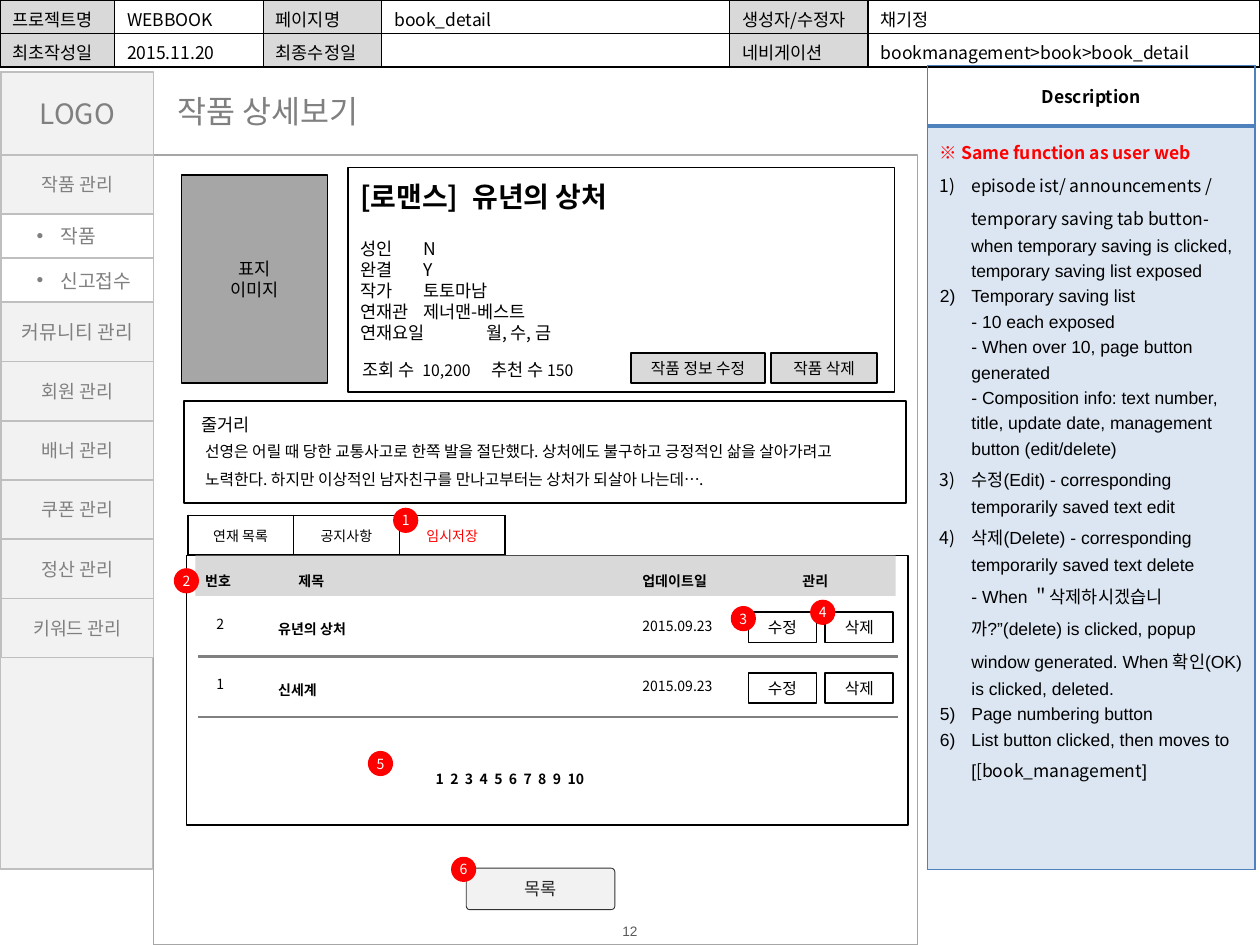
"""Build the book detail wireframe slide."""
from lxml import etree
from pptx import Presentation
from pptx.dml import color as dc
from pptx.enum import shapes as es, text as et
from pptx.oxml import ns
from pptx.util import Inches, Pt

NOTO = "Noto Sans CJK KR"
LEFT, MID = et.PP_ALIGN.LEFT, et.PP_ALIGN.CENTER
KIND = es.MSO_SHAPE


def rgb(code):
    return dc.RGBColor.from_string(code)


def sub(node, tag, **attrs):
    return etree.SubElement(node, ns.qn(tag), **attrs)


class Page:
    """Hold the style and the current slide."""

    def __init__(self, deck):
        self.slide = deck.slides.add_slide(deck.slide_layouts[5])
        self.shapes = self.slide.shapes

    def font(self, font, size, color="000000", bold=False, face=NOTO):
        font.size, font.bold, font.name = Pt(size), bold, face
        font.fill.solid()
        font.fill.fore_color.rgb = rgb(color)
        sub(font._element, "a:ea", typeface=NOTO)

    def para(self, para, words, size, align=LEFT, space=None, bullet=None, indent=0.25, **look):
        if bullet:
            props = para._p.get_or_add_pPr()
            props.set("marL", str(Inches(indent)))
            props.set("indent", str(-Inches(indent)))
            if bullet == "1)":
                sub(props, "a:buAutoNum", type="arabicParenR")
            else:
                sub(props, "a:buFont", typeface="Arial")
                sub(props, "a:buChar", char=bullet)
        para.alignment = align
        if space:
            para.line_spacing = space
        if isinstance(words, str):
            para.text = words
            self.font(para.font, size, **look)
            return
        for part, face in words:
            run = para.add_run()
            run.text = part
            self.font(run.font, size, face=face, **look)

    def fill(self, frame, words, size, inset=(0.1, 0.05, 0.1, 0.05),
             anchor=et.MSO_ANCHOR.MIDDLE, wrap=True, **look):
        frame.auto_size = et.MSO_AUTO_SIZE.NONE
        frame.word_wrap, frame.vertical_anchor = wrap, anchor
        (frame.margin_left, frame.margin_top,
         frame.margin_right, frame.margin_bottom) = map(Inches, inset)
        for i, line in enumerate([words] if isinstance(words, str) else words):
            para = frame.add_paragraph() if i else frame.paragraphs[0]
            self.para(para, line, size, **look)

    def title(self, x, y, w, h, words, size, **look):
        hold = self.shapes.title
        hold.left, hold.top, hold.width, hold.height = map(Inches, (x, y, w, h))
        self.fill(hold.text_frame, words, size, anchor=et.MSO_ANCHOR.TOP, wrap=False, **look)

    def text(self, x, y, w, h, words, size, anchor=et.MSO_ANCHOR.TOP, **look):
        box = self.shapes.add_textbox(*map(Inches, (x, y, w, h)))
        self.fill(box.text_frame, words, size, anchor=anchor, **look)

    def box(self, x, y, w, h, words="", size=9, back=None, edge="000000",
            width=1, kind=KIND.RECTANGLE, align=MID, **look):
        shape = self.shapes.add_shape(kind, *map(Inches, (x, y, w, h)))
        shape.shadow.inherit = False
        if back:
            shape.fill.solid()
            shape.fill.fore_color.rgb = rgb(back)
        else:
            shape.fill.background()
        if edge:
            shape.line.color.rgb, shape.line.width = rgb(edge), Pt(width)
        else:
            shape.line.fill.background()
        if words:
            self.fill(shape.text_frame, words, size, align=align, **look)
        return shape

    def badge(self, x, y, num):
        self.box(x, y, 0.2, 0.2, num, 8, "FF0000", None, kind=KIND.OVAL,
                 color="FFFFFF", inset=(0, 0, 0, 0))

    def rule(self, x, y, end, color, width):
        line = self.shapes.add_connector(
            es.MSO_CONNECTOR.STRAIGHT, *map(Inches, (x, y, end, y)))
        line.line.color.rgb, line.line.width = rgb(color), Pt(width)
        sub(line._element.spPr, "a:effectLst")

    def table(self, x, y, cols, rows):
        frame = self.shapes.add_table(len(rows), len(cols), *map(
            Inches, (x, y, sum(cols), sum(rows))))
        grid = frame.table
        grid.first_row = grid.horz_banding = False
        for col, w in zip(grid.columns, cols):
            col.width = Inches(w)
        for row, h in zip(grid.rows, rows):
            row.height = Inches(h)
        return grid

    def cell(self, cell, back=None, edge="000000", base=1, inset=(0.1, 0.05, 0.1, 0.05)):
        (cell.margin_left, cell.margin_top,
         cell.margin_right, cell.margin_bottom) = map(Inches, inset)
        props = cell._tc.get_or_add_tcPr()
        for side, width in zip("LRTB", (1, 1, 1, base)):
            line = sub(props, "a:ln" + side, w=str(Pt(width)))
            sub(sub(line, "a:solidFill"), "a:srgbClr", val=edge)
        if back:
            cell.fill.solid()
            cell.fill.fore_color.rgb = rgb(back)
        else:
            cell.fill.background()


def header(page):
    rows = (("프로젝트명", "WEBBOOK", "페이지명", "book_detail", "생성자/수정자", "채기정"),
            ("최초작성일", "2015.11.20", "최종수정일", "", "네비게이션",
             "bookmanagement>book>book_detail"))
    grid = page.table(0, 0, (0.91, 1.18, 0.94, 2.76, 1.1, 3.11), (0.265, 0.265))
    for r, row in enumerate(rows):
        for c, words in enumerate(row):
            cell = grid.cell(r, c)
            page.cell(cell, None if c % 2 else "D9D9D9", inset=(0.1, 0.05, 0.05, 0))
            page.para(cell.text_frame.paragraphs[0], words, 10)


def notes(page):
    items = (
        (("episode ist/ announcements / temporary saving tab button", NOTO),
         ("- when temporary saving is clicked, temporary saving list exposed", "Arial")),
        "Temporary saving list \n- 10 each exposed \n- When over 10, page button generated \n"
        "- Composition info: text number, title, update date, management button (edit/delete)",
        "수정(Edit) - corresponding temporarily saved text edit",
        "삭제(Delete) - corresponding temporarily saved text delete \n"
        "- When ＂삭제하시겠습니까?”(delete) is clicked, popup window generated. "
        "When 확인(OK) is clicked, deleted.",
        "Page numbering button",
        (("List button clicked, then moves to [", "Arial"), ("[book_management", NOTO),
         ("]", "Arial")))
    grid = page.table(7.36, 0.52, (2.6,), (0.48, 5.9))
    head, body = grid.cell(0, 0), grid.cell(1, 0)
    page.cell(head, edge="4F81BD", base=2)
    page.cell(body, "DCE6F2", "4F81BD")
    head.vertical_anchor = et.MSO_ANCHOR.MIDDLE
    page.para(head.text_frame.paragraphs[0], "Description", 10, MID, bold=True)
    page.para(body.text_frame.paragraphs[0], "※ Same function as user web", 10,
              space=1.3, color="FF0000", bold=True)
    for item in items:
        look = {"face": "Arial"} if isinstance(item, str) else {}
        page.para(body.text_frame.add_paragraph(), item, 10, space=1.3, bullet="1)", **look)


def menu(page):
    grey = {"edge": "BFBFBF", "color": "808080"}
    page.box(0, 0.57, 1.21, 6.33, back="F2F2F2", edge="BFBFBF")
    page.box(0.01, 0.57, 1.21, 0.66, "LOGO", 16, "F2F2F2", **grey)
    y = 1.23
    for name in ("작품 관리", "작품", "신고접수", "커뮤니티 관리", "회원 관리", "배너 관리",
                 "쿠폰 관리", "정산 관리", "키워드 관리"):
        if name.endswith("관리"):
            size = 11 if name.startswith("커뮤") else 10.5
            page.box(0.01, y, 1.21, 0.47, name, size, "F2F2F2", **grey)
            y += 0.47
        else:
            page.box(0.01, y, 1.21, 0.35, name, 11, "FFFFFF", align=LEFT, bullet="•",
                     indent=0.19, inset=(0.28, 0.05, 0.1, 0.05), **grey)
            y += 0.35


def detail(page):
    page.box(1.22, 1.23, 6.06, 6.27, edge="A6A6A6", width=0.75)
    page.box(1.44, 1.39, 1.16, 1.65, "표지\n이미지", 10, "A6A6A6")
    facts = ("성인\tN", "완결\tY", "작가 \t토토마남", "연재관\t제너맨-베스트", "연재요일 \t월, 수, 금")
    page.box(2.76, 1.33, 4.34, 1.78, facts, 10, align=LEFT, inset=(0.1, 0.22, 0.1, 0.05))
    for x, words in ((2.78, "[로맨스]"), (3.67, "유년의 상처")):
        page.text(x, 1.44, 2.14, 0.23, words, 16, et.MSO_ANCHOR.MIDDLE, bold=True,
                  inset=(0.08, 0.04, 0.08, 0.04))
    for x, w, name, count in ((2.78, 1.14, "조회 수  ", "10,200"), (3.8, 0.9, "추천 수 ", "150")):
        page.text(x, 2.72, w, 0.32, [[(name, NOTO), (count, NOTO)]], 10, space=1.5, wrap=False)
        page.shapes[-1].text_frame.paragraphs[0].runs[1].font.size = Pt(9)
    for x, w, words in ((5.01, 1.06, "작품 정보 수정"), (6.12, 0.84, "작품 삭제")):
        page.box(x, 2.8, w, 0.24, words, back="D9D9D9")
    page.box(1.46, 3.18, 5.73, 0.81)
    page.text(1.5, 3.15, 0.6, 0.32, "줄거리", 10, space=1.5, wrap=False)
    page.text(1.53, 3.38, 5.31, 0.53, "선영은 어릴 때 당한 교통사고로 한쪽 발을 절단했다. 상처에도 불구하고 "
              "긍정적인 삶을 살아가려고 노력한다. 하지만 이상적인 남자친구를 만나고부터는 상처가 되살아 나는데….",
              9, space=1.5)


def saved(page):
    page.box(1.48, 4.41, 5.73, 2.14)
    page.box(1.55, 4.41, 5.56, 0.32, back="D9D9D9", edge=None)
    for x, w, words in ((1.53, 0.41, "번호"), (2.27, 0.41, "제목"), (5, 0.73, "업데이트일"),
                        (6.27, 0.41, "관리")):
        page.text(x, 4.43, w, 0.28, words, 8, space=1.5, wrap=False, bold=True)
    for y, num, name in ((4.84, "2", "유년의 상처"), (5.32, "1", "신세계")):
        page.text(1.62, y, 1.8, 0.22, num, 8, et.MSO_ANCHOR.MIDDLE)
        page.text(2.11, y - 0.03, 1.94, 0.28, name, 8, space=1.5, bold=True)
        page.box(5, y, 0.78, 0.25, "2015.09.23", 8, "FFFFFF", None, align=LEFT)
        page.rule(1.57, y + 0.37, 7.13, "808080", 1.5)
        for x, words in ((5.94, "수정"), (6.55, "삭제")):
            page.box(x, y + 0.02, 0.54, 0.24, words)
    page.text(3.36, 6.07, 1.64, 0.24, "1  2  3  4  5  6  7  8  9  10", 8, wrap=False, bold=True)
    grid = page.table(1.49, 4.09, (0.84,) * 3, (0.31,))
    for cell, words, color in zip(grid.iter_cells(), ("연재 목록", "공지사항", "임시저장"),
                                  ("000000", "000000", "FF0000")):
        page.cell(cell, "FFFFFF", inset=(0.04, 0.05, 0.04, 0.05))
        cell.vertical_anchor = et.MSO_ANCHOR.MIDDLE
        page.para(cell.text_frame.paragraphs[0], words, 8, MID, color=color)


def main():
    deck = Presentation()
    deck.slide_width, deck.slide_height = Inches(10), Inches(7.5)
    page = Page(deck)
    page.title(1.31, 0.68, 1.81, 0.4, "작품 상세보기", 18, color="808080")
    header(page)
    notes(page)
    detail(page)
    menu(page)
    saved(page)
    knob = page.box(3.7, 6.89, 1.18, 0.33, "목록", 10, "F2F2F2", "333333", 0.5,
                    KIND.ROUNDED_RECTANGLE, color="262626", face="Calibri")
    knob.adjustments[0] = 0.09
    spots = ((3.12, 4.03), (1.38, 4.51), (5.8, 4.81), (6.43, 4.76), (2.92, 5.96), (3.58, 6.8))
    for num, (x, y) in enumerate(spots, 1):
        page.badge(x, y, str(num))
    page.text(4.57, 7.32, 0.86, 0.14, "12", 7.8, et.MSO_ANCHOR.MIDDLE, align=MID,
              color="595959", face="Arial", inset=(0, 0, 0, 0))
    deck.save("out.pptx")


if __name__ == "__main__":
    main()
